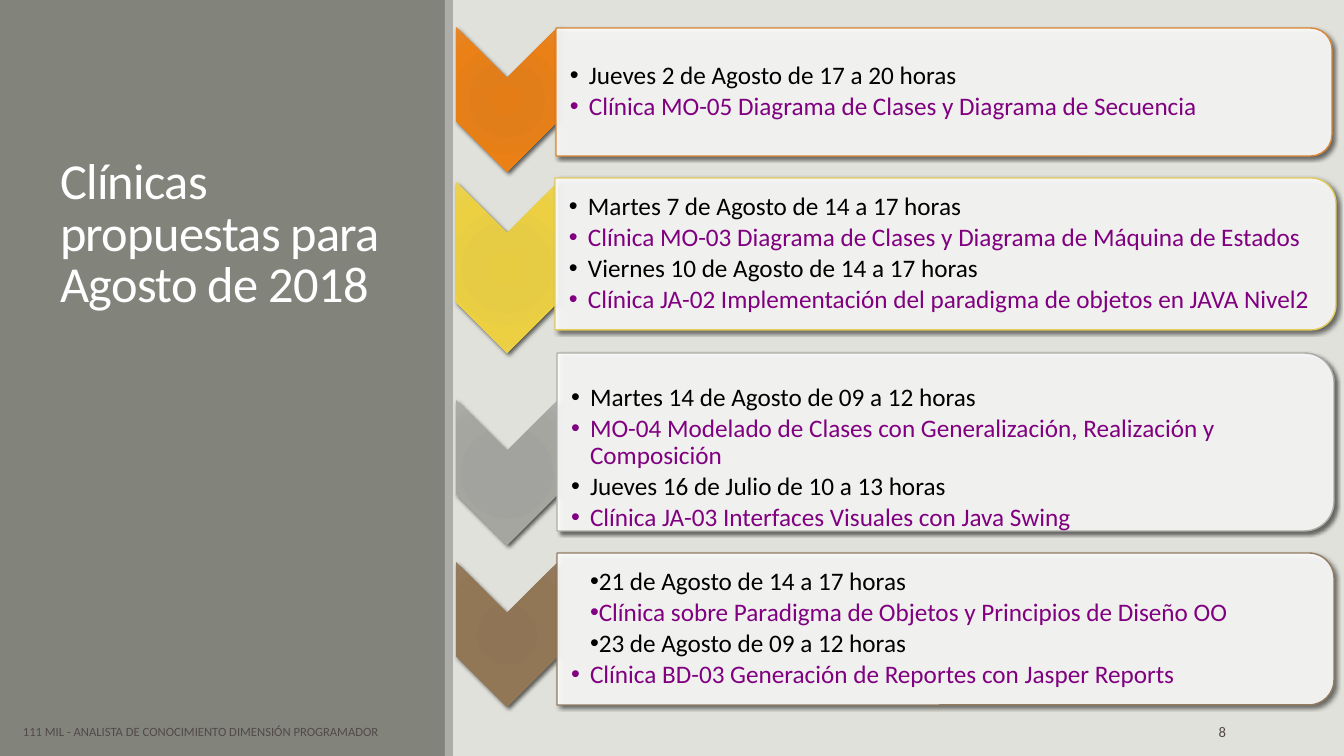
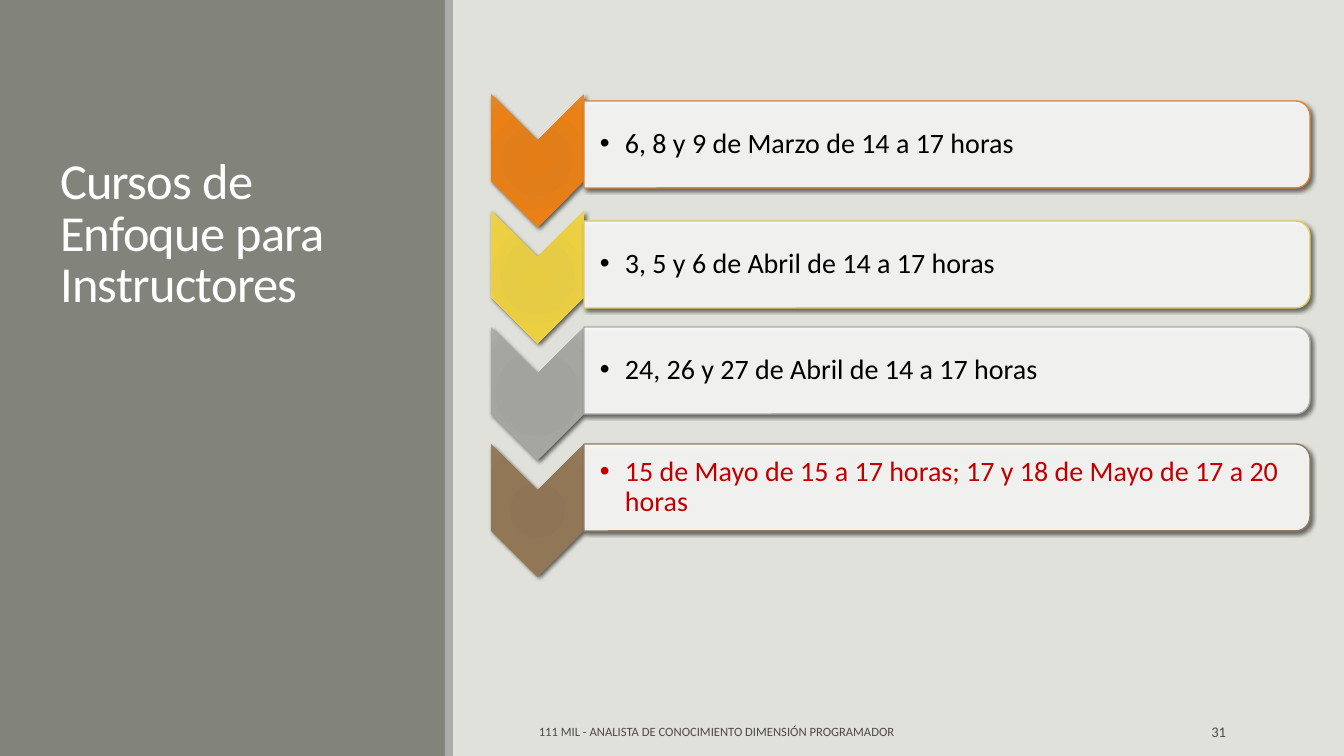
"""Build two schedule slides with chevron rows beside a titled side panel."""
from dataclasses import dataclass
from itertools import cycle

from pptx import Presentation
from pptx import util as u
from pptx.dml.color import RGBColor
from pptx.enum import shapes as sh, text as tx
from pptx.oxml import parse_xml
from pptx.oxml.ns import nsdecls, qn

SCALE = 914400 / 100.8


def px(n):
    return u.Emu(round(n * SCALE))


@dataclass(frozen=True)
class Theme:
    font: str = "Calibri"
    back: str = "E1E1DB"
    panel: str = "82847C"
    strip: str = "ACADA8"
    white: str = "FFFFFF"
    ink: str = "000000"
    plum: str = "800080"
    red: str = "C00000"
    note: str = "514949"
    head: float = 36
    foot: float = 9
    page: float = 10.5
    stops: tuple = (0, 34, 70, 100)
    rows: tuple = (
        ("DB8631", ("E47D16", "E27E1A", "EA8016", "E48629")),
        ("E3CC5A", ("E7CB41", "E6CB45", "ECD042", "EAD153")),
        ("ACADA8", ("A1A29C", "A2A39E", "A5A6A0", "ACADA8")),
        ("927C61", ("8F7454", "8F7556", "927756", "947C5F")),
    )


class Deck:
    def __init__(self, theme):
        self.theme = theme
        self.show = Presentation()
        self.show.slide_width, self.show.slide_height = px(1344), px(756)
        self.plan = self.show.slide_layouts.get_by_name("Title Only")
        self.slide = None
        self.paint(self.show.slide_master.background.fill, theme.back)

    def paint(self, fill, tint):
        fill.solid()
        fill.fore_color.rgb = RGBColor.from_string(tint)

    def shape(self, kind, x, y, w, h, turn=0):
        if turn:
            x, y, w, h = x + (w - h) / 2, y + (h - w) / 2, h, w
        item = self.slide.shapes.add_shape(kind, px(x), px(y), px(w), px(h))
        item.rotation = turn
        item.shadow.inherit = False
        item.line.fill.background()
        return item

    def bands(self):
        tree = self.plan.shapes.element
        for spot, (x, w, tint) in enumerate(
                ((0, 446, self.theme.panel), (445, 8, self.theme.strip))):
            band = self.shape(sh.MSO_SHAPE.RECTANGLE, x, 0, w, 756)
            self.paint(band.fill, tint)
            band.element.nvSpPr.cNvPr.set("id", str(90 + spot))
            tree.insert(2 + spot, band.element)

    def frame(self, item, sides=None):
        body = item.text_frame
        form = dict(word_wrap=True, auto_size=tx.MSO_AUTO_SIZE.NONE,
                    vertical_anchor=tx.MSO_ANCHOR.MIDDLE)
        if sides:
            names = ("left", "top", "right", "bottom")
            form.update({f"margin_{k}": px(v) for k, v in zip(names, sides)})
        for key, val in form.items():
            setattr(body, key, val)
        return body

    def say(self, para, words, size, tint, **form):
        run = para.add_run()
        run.text = words
        for key, val in dict(name=self.theme.font, size=u.Pt(size)).items():
            setattr(run.font, key, val)
        run.font.color.rgb = RGBColor.from_string(tint)
        for key, val in form.items():
            setattr(para, key, val)
        return run

    def page(self, words):
        self.slide = self.show.slides.add_slide(self.plan)
        if len(self.show.slides) == 1:
            self.bands()
        title = self.slide.shapes.title
        for key, val in dict(left=50, top=66, width=353, height=252).items():
            setattr(title, key, px(val))
        body = self.frame(title)
        body.vertical_anchor = tx.MSO_ANCHOR.BOTTOM
        run = self.say(body.paragraphs[0], words, self.theme.head,
                       self.theme.white, line_spacing=0.85,
                       alignment=tx.PP_ALIGN.LEFT)
        run.font._element.set("spc", "-50")

    def label(self, words, x, w, size, align):
        item = self.slide.shapes.add_textbox(px(x), px(712), px(w), px(40))
        self.say(self.frame(item).paragraphs[0], words, size,
                 self.theme.note, alignment=align)

    def foot(self, x, count):
        self.label("111 MIL - ANALISTA DE CONOCIMIENTO DIMENSIÓN PROGRAMADOR",
                   x, 512, self.theme.foot, tx.PP_ALIGN.LEFT)
        self.label(str(count), 1092, 144, self.theme.page, tx.PP_ALIGN.RIGHT)

    def shade(self, item):
        item.element.spPr.find(qn("a:effectLst")).append(parse_xml(
            f'<a:outerShdw {nsdecls("a")} blurRad="38100" dist="25400" '
            'dir="2700000" rotWithShape="0"><a:srgbClr val="000000">'
            '<a:alpha val="60000"/></a:srgbClr></a:outerShdw>'))

    def arrow(self, tints, *spot):
        item = self.shape(sh.MSO_SHAPE.CHEVRON, *spot, turn=90)
        stops = "".join(
            f'<a:gs pos="{at * 1000}"><a:srgbClr val="{tint}"/></a:gs>'
            for at, tint in zip(self.theme.stops, tints))
        item.element.spPr.find(qn("a:ln")).addprevious(parse_xml(
            f'<a:gradFill {nsdecls("a")} rotWithShape="1">'
            f'<a:gsLst>{stops}</a:gsLst><a:path path="circle">'
            '<a:fillToRect l="100000" t="100000" r="100000" b="100000"/>'
            '</a:path></a:gradFill>'))
        self.shade(item)

    def card(self, edge, *spot):
        item = self.shape(sh.MSO_SHAPE.ROUND_2_SAME_RECTANGLE, *spot, turn=90)
        self.paint(item.fill, self.theme.white)
        item.element.spPr.find(".//" + qn("a:srgbClr")).append(
            parse_xml(f'<a:alpha {nsdecls("a")} val="90000"/>'))
        self.paint(item.line.fill, edge)
        item.line.width = u.Pt(1)
        self.shade(item)

    def points(self, lines, tints, size, hang, pad, x, y, w, h, drop=0, flat=0):
        gap = 0.049 * h
        item = self.slide.shapes.add_textbox(
            px(x), px(y + gap + drop), px(w - gap), px(h - 2 * gap))
        body = self.frame(item, (pad, 1, 1, 1))
        for spot, (line, tint) in enumerate(zip(lines, cycle(tints))):
            para = body.add_paragraph() if spot else body.paragraphs[0]
            self.say(para, line, size, tint, line_spacing=0.9,
                     space_after=u.Pt(0.15 * size))
            form = para._p.get_or_add_pPr()
            form.set("marL", str(px(hang)))
            form.set("indent", str(0 if spot < flat else -px(hang)))
            for mark in ('buFont typeface="Arial"', 'buChar char="•"'):
                form.append(parse_xml(f'<a:{mark} {nsdecls("a")}/>'))


theme = Theme()
deck = Deck(theme)

deck.page("Clínicas propuestas para Agosto de 2018")
deck.foot(13, 8)
clinics = (
    ((27, 145), (556, 28, 776, 128), {}, (
        "Jueves 2 de Agosto de 17 a 20 horas",
        "Clínica MO-05 Diagrama de Clases y Diagrama de Secuencia")),
    ((182, 171), (555, 178, 781, 152), {}, (
        "Martes 7 de Agosto de 14 a 17 horas",
        "Clínica MO-03 Diagrama de Clases y Diagrama de Máquina de Estados",
        "Viernes 10 de Agosto de 14 a 17 horas",
        "Clínica JA-02 Implementación del paradigma de objetos en JAVA Nivel2")),
    ((400, 145), (557, 353, 777, 178), dict(drop=16), (
        "Martes 14 de Agosto de 09 a 12 horas",
        "MO-04 Modelado de Clases con Generalización, Realización y Composición",
        "Jueves 16 de Julio de 10 a 13 horas",
        "Clínica JA-03 Interfaces Visuales con Java Swing")),
    ((562, 145), (557, 553, 777, 152), dict(flat=3), (
        "21 de Agosto de 14 a 17 horas",
        "Clínica sobre Paradigma de Objetos y Principios de Diseño OO",
        "23 de Agosto de 09 a 12 horas",
        "Clínica BD-03 Generación de Reportes con Jasper Reports")),
)
for (edge, tints), ((top, tall), spot, form, lines) in zip(theme.rows, clinics):
    deck.arrow(tints, 456, top, 102, tall)
    deck.card(edge, *spot)
    deck.points(lines, (theme.ink, theme.plum), 18, 19, 14, *spot, **form)

deck.page("Cursos de Enfoque para Instructores")
deck.foot(529, 31)
dates = (
    (101, theme.ink, "6, 8 y 9 de Marzo de 14 a 17 horas"),
    (221, theme.ink, "3, 5 y 6 de Abril de 14 a 17 horas"),
    (327, theme.ink, "24, 26 y 27 de Abril de 14 a 17 horas"),
    (444, theme.red,
     "15 de Mayo de 15 a 17 horas; 17 y 18 de Mayo de 17 a 20 horas"),
)
for row, ((edge, tints), (top, tint, line)) in enumerate(zip(theme.rows, dates)):
    spot = (584, top, 726, 87)
    deck.arrow(tints, 491, 94 + 116.6 * row, 93, 133)
    deck.card(edge, *spot)
    deck.points((line,), (tint,), 20, 25, 16, *spot)

deck.show.save("out.pptx")
